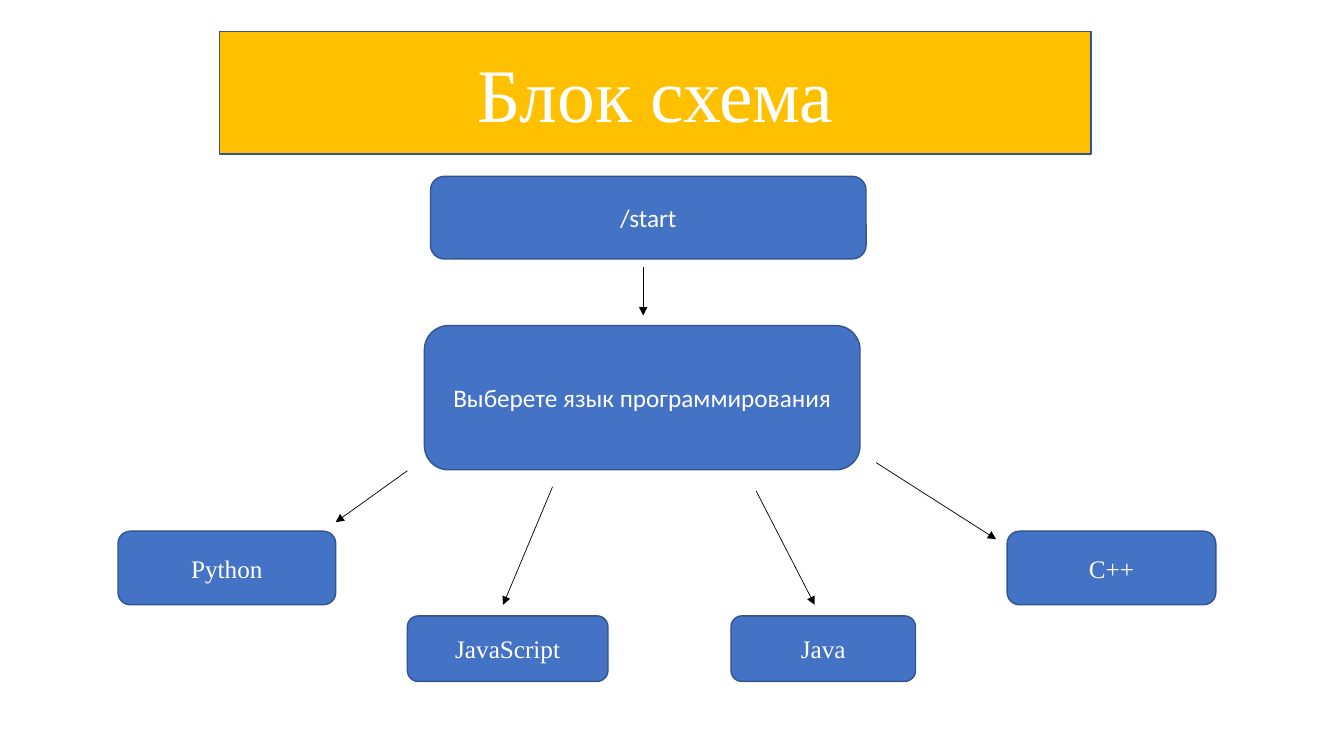
from lxml import etree
from pptx import Presentation, util as u
from pptx.dml.color import RGBColor
from pptx.enum import shapes, text
from pptx.oxml import ns

# Content: places are percent of slide width and height
SLIDE_W, SLIDE_H = 13.33, 7.5
COLORS = {"title": "FFC000", "box": "4472C4", "edge": "325491",
          "text": "FFFFFF", "arrow": "000000"}
SERIF, SANS = "Times New Roman", "Calibri"

TITLE = ("Блок схема", (16.35, 4.13, 64.82, 16.27))
STEP_WIDTH = 32.41
STEPS = [  # text, left, top, height
    ("/start", 32.03, 23.33, 10.93),
    ("Выберете язык программирования", 31.58, 43.07, 19.07),
]
LANGUAGE_ROWS = {"outer": (70.27, 9.73), "inner": (81.47, 8.67)}  # top, height
LANGUAGES = [  # text, left, width, row
    ("Python", 8.78, 16.2, "outer"),
    ("JavaScript", 30.31, 14.93, "inner"),
    ("Java", 54.39, 13.73, "inner"),
    ("C++", 74.94, 15.53, "outer"),
]
ARROWS = [  # from, to
    ((47.86, 35.33), (47.86, 41.73)),
    ((30.31, 62.27), (24.98, 69.07)),
    ((41.11, 64.4), (37.43, 80)),
    ((56.26, 64.93), (60.62, 80)),
    ((65.19, 61.2), (74.12, 71.33)),
]


def across(share):
    return u.Inches(SLIDE_W * share / 100)


def down(share):
    return u.Inches(SLIDE_H * share / 100)


def place(area):
    left, top, width, height = area
    return across(left), down(top), across(width), down(height)


def write(box, words, font=SANS, size=18, color="text"):
    frame = box.text_frame
    frame.word_wrap = True
    frame.auto_size = text.MSO_AUTO_SIZE.NONE
    frame.vertical_anchor = text.MSO_ANCHOR.MIDDLE
    line = frame.paragraphs[0]
    line.alignment = text.PP_ALIGN.CENTER
    run = line.add_run()
    run.text = words
    run.font.name = font
    run.font.size = u.Pt(size)
    run.font.color.rgb = RGBColor.from_string(COLORS[color])


def paint(box, fill):
    box.fill.solid()
    box.fill.fore_color.rgb = RGBColor.from_string(COLORS[fill])
    box.line.color.rgb = RGBColor.from_string(COLORS["edge"])
    box.line.width = u.Pt(1)


def add_box(words, area, font):
    box = slide.shapes.add_shape(shapes.MSO_SHAPE.ROUNDED_RECTANGLE, *place(area))
    box.shadow.inherit = False
    paint(box, "box")
    write(box, words, font=font)


def add_arrow(start, end):
    arrow = slide.shapes.add_connector(
        shapes.MSO_CONNECTOR.STRAIGHT,
        across(start[0]), down(start[1]), across(end[0]), down(end[1]))
    arrow.line.color.rgb = RGBColor.from_string(COLORS["arrow"])
    arrow.line.width = u.Pt(0.5)
    etree.SubElement(arrow.line._get_or_add_ln(), ns.qn("a:tailEnd"), type="triangle")
    etree.SubElement(arrow._element.spPr, ns.qn("a:effectLst"))


deck = Presentation()
deck.slide_width, deck.slide_height = u.Inches(SLIDE_W), u.Inches(SLIDE_H)
slide = deck.slides.add_slide(deck.slide_layouts[5])

# Title banner with rounded corners
title_words, title_area = TITLE
banner = slide.shapes.title
banner.left, banner.top, banner.width, banner.height = place(title_area)
outline = etree.Element(ns.qn("a:prstGeom"), prst="roundRect")
etree.SubElement(outline, ns.qn("a:avLst"))
banner._element.spPr.insert(1, outline)
paint(banner, "title")
write(banner, title_words, font=SERIF, size=54)

# Steps of the dialogue
for words, left, top, height in STEPS:
    add_box(words, (left, top, STEP_WIDTH, height), SANS)

# Languages to choose from
for words, left, width, row in LANGUAGES:
    top, height = LANGUAGE_ROWS[row]
    add_box(words, (left, top, width, height), SERIF)

# Arrows between the steps
for start, end in ARROWS:
    add_arrow(start, end)

deck.save("out.pptx")
